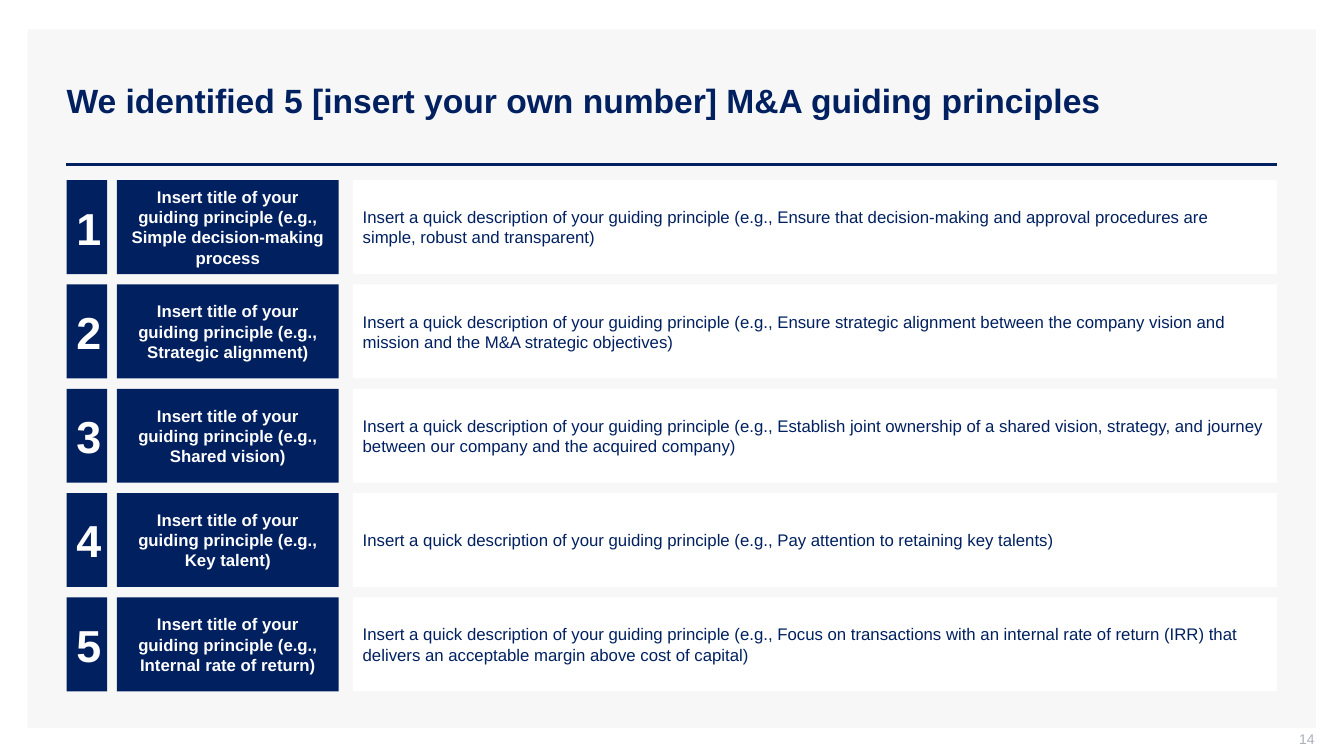
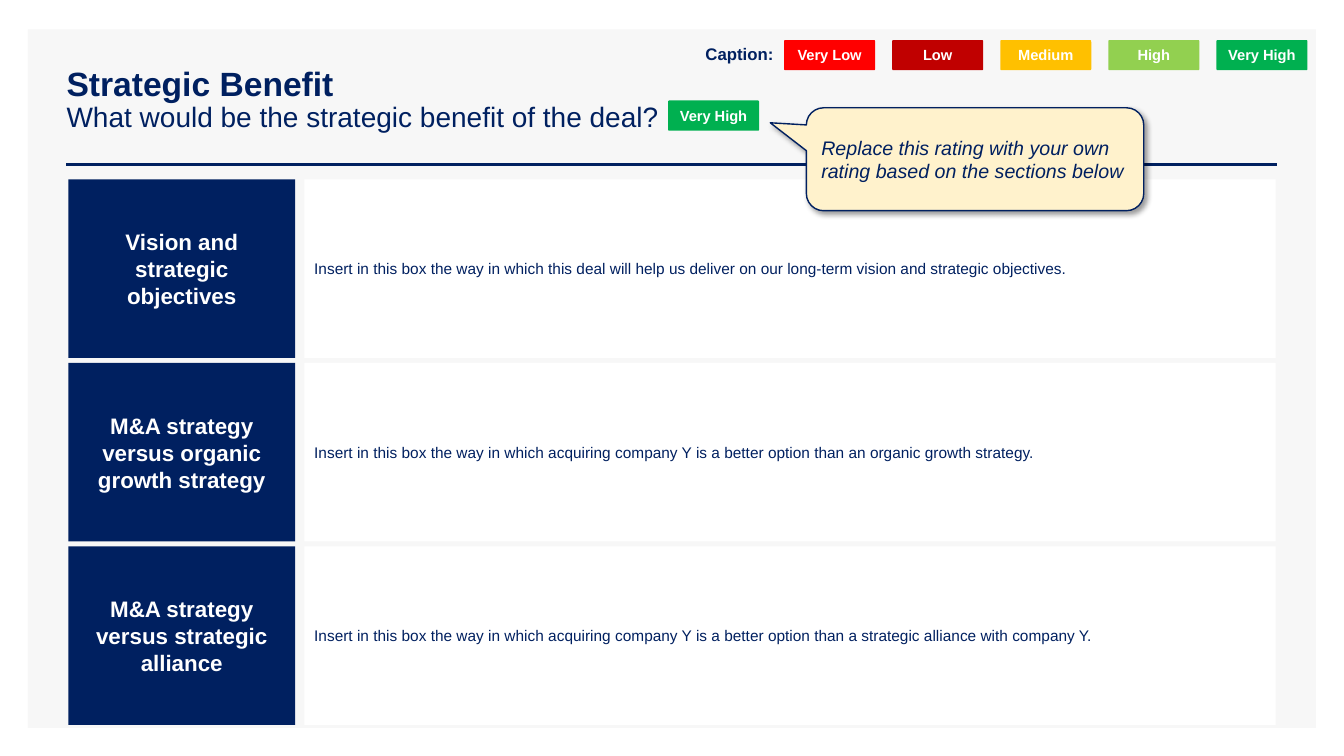
from lxml.etree import SubElement
from pptx import Presentation
from pptx.dml.color import RGBColor
from pptx.enum.shapes import MSO_CONNECTOR, MSO_SHAPE
from pptx.enum.text import MSO_ANCHOR, MSO_AUTO_SIZE, PP_ALIGN
from pptx.oxml.ns import qn
from pptx.util import Pt

NAVY, WHITE, GREY, PALE, CREAM = "002060", "FFFFFF", "ADAFBB", "F7F7F7", "FFF2CC"
FONT = "Arial"
LEFT, MID, RIGHT = PP_ALIGN.LEFT, PP_ALIGN.CENTER, PP_ALIGN.RIGHT
GREEN = "00B050"
SCALE = {"Very Low": "FF0000", "Low": "C00000", "Medium": "FFC000",
         "High": "92D050", "Very High": GREEN}
RULES = [
    ("Simple decision-making process",
     "Ensure that decision-making and approval procedures are simple, robust and transparent)"),
    ("Strategic alignment)",
     "Ensure strategic alignment between the company vision and mission "
     "and the M&A strategic objectives)"),
    ("Shared vision)",
     "Establish joint ownership of a shared vision, strategy, and journey "
     "between our company and the acquired company)"),
    ("Key talent)", "Pay attention to retaining key talents)"),
    ("Internal rate of return)",
     "Focus on transactions with an internal rate of return (IRR) that delivers "
     "an acceptable margin above cost of capital)"),
]
GAINS = [
    ("Vision and strategic objectives",
     "this deal will help us deliver on our long-term vision and strategic objectives."),
    ("M&A strategy versus organic growth strategy",
     "acquiring company Y is a better option than an organic growth strategy."),
    ("M&A strategy versus strategic alliance",
     "acquiring company Y is a better option than a strategic alliance with company Y."),
]


def tint(code):
    """Turn a hex string into a colour."""
    return RGBColor.from_string(code)


def style(part, size, color=NAVY, bold=False, italic=False):
    """Set the font of a paragraph or run."""
    font = part.font
    font.name, font.size = FONT, Pt(size)
    font.bold, font.italic = bold, italic
    font.color.rgb = tint(color)


def write(shape, text, size, color=NAVY, align=LEFT, bold=False, italic=False):
    """Put one formatted paragraph into a shape."""
    frame = shape.text_frame
    frame.word_wrap = True
    para = frame.paragraphs[0]
    para.text, para.alignment = text, align
    style(para, size, color, bold, italic)


def block(slide, box, fill, kind=MSO_SHAPE.RECTANGLE, adjust=()):
    """Draw a flat filled shape without outline."""
    shape = slide.shapes.add_shape(kind, *map(Pt, box))
    shape.shadow.inherit = False
    shape.fill.solid()
    shape.fill.fore_color.rgb = tint(fill)
    shape.line.fill.background()
    for index, value in enumerate(adjust):
        shape.adjustments[index] = value
    return shape


def label(slide, box, text, size, align=LEFT, bold=False):
    """Place a plain text box."""
    area = slide.shapes.add_textbox(*map(Pt, box))
    write(area, text, size, NAVY, align, bold)
    return area


def frame(slide, layout, box):
    """Give the layout its panel, rule and title place."""
    x, y, w, h = box
    panel = block(slide, box, PALE)
    rule = slide.shapes.add_connector(
        MSO_CONNECTOR.STRAIGHT, Pt(x + 27.5), Pt(y + 96.4), Pt(x + 892), Pt(y + 96.4))
    rule.line.color.rgb = tint(NAVY)
    rule.line.width = Pt(2)
    SubElement(rule._element.spPr, qn("a:effectLst"))
    for part in (rule, panel):
        layout.shapes._spTree.insert(2, part._element)
    title = layout.placeholders[0]
    title.left, title.top = Pt(x + 20.3), Pt(y + 7.8)
    title.width, title.height = Pt(872), Pt(85.7)
    title.text_frame.auto_size = MSO_AUTO_SIZE.NONE
    title.text_frame.vertical_anchor = MSO_ANCHOR.MIDDLE


def head(slide, text, sub=None):
    """Fill the title, with an optional lighter second line."""
    title = slide.shapes.title
    write(title, text, 24, bold=True)
    if sub:
        para = title.text_frame.paragraphs[0]
        para.line_spacing = 0.9
        para.add_line_break()
        run = para.add_run()
        run.text = sub
        style(run, 20)


def page(slide, box, number):
    """Place the page number."""
    area = label(slide, box, number, 10, RIGHT)
    text = area.text_frame
    text.margin_top = text.margin_right = 0
    text.margin_bottom = Pt(3.6)
    text.vertical_anchor = MSO_ANCHOR.MIDDLE
    style(text.paragraphs[0], 10, GREY)


def rules(slide, box):
    """Stack the numbered guiding principles."""
    x, y, w, h = box
    step, tall = (h + 7.4) / len(RULES), 67.1
    for index, (name, note) in enumerate(RULES):
        top = y + index * step
        digit = block(slide, (x, top, 29, tall), NAVY)
        write(digit, str(index + 1), 32, WHITE, MID, True)
        tag = block(slide, (x + 36, top, 158.5, tall), NAVY)
        write(tag, f"Insert title of your guiding principle (e.g., {name}", 12, WHITE, MID, True)
        body = block(slide, (x + 204.5, top, w - 204.5, tall), WHITE)
        write(body, f"Insert a quick description of your guiding principle (e.g., {note}", 12)


def gains(slide, box):
    """Stack the benefit sections."""
    x, y, w, h = box
    gap, wide = 3.6, 162
    tall = (h + gap) / len(GAINS) - gap
    for index, (name, note) in enumerate(GAINS):
        top = y + index * (tall + gap)
        tag = block(slide, (x, top, wide, tall), NAVY, MSO_SHAPE.PENTAGON, [0])
        write(tag, name, 16, WHITE, MID, True)
        body = block(slide, (x + 168.6, top, w - 168.6, tall), WHITE, MSO_SHAPE.PENTAGON, [0])
        write(body, f"Insert in this box the way in which {note}", 11)


def chip(slide, x, y, name):
    """Draw one rating chip."""
    shape = block(slide, (x, y, 65, 21.6), SCALE[name], MSO_SHAPE.ROUNDED_RECTANGLE, [0.04])
    write(shape, name, 10.5, WHITE, MID, True)


def legend(slide, box):
    """Draw the caption and the row of ratings."""
    x, y, w, h = box
    label(slide, (x, y - 0.6, 68.4, h), "Caption:", 12, bold=True)
    for index, name in enumerate(SCALE):
        chip(slide, x + 63.3 + index * 77.2, y, name)


def bubble(slide, box, text):
    """Draw the shaded callout."""
    shape = block(slide, box, CREAM, MSO_SHAPE.ROUNDED_RECTANGULAR_CALLOUT,
                  [-0.607, -0.354, 0.167])
    shape.line.color.rgb = tint(NAVY)
    shape.line.width = Pt(1)
    effects = shape._element.spPr.find(qn("a:effectLst"))
    shade = SubElement(effects, qn("a:outerShdw"), blurRad=str(Pt(4)), dist=str(Pt(3)),
                       dir="2700000", algn="tl", rotWithShape="0")
    color = SubElement(shade, qn("a:srgbClr"), val="000000")
    SubElement(color, qn("a:alpha"), val="40000")
    write(shape, text, 14, italic=True)


def main():
    """Build and save both slides."""
    deck = Presentation()
    deck.slide_width, deck.slide_height = Pt(960), Pt(540)
    layout = deck.slide_layouts[5]
    first = deck.slides.add_slide(layout)
    frame(first, layout, (20, 21, 920, 499))
    head(first, "We identified 5 [insert your own number] M&A guiding principles")
    page(first, (723, 522, 216, 15), "14")
    rules(first, (47.5, 128.7, 864.7, 365.1))

    second = deck.slides.add_slide(layout)
    head(second, "Strategic Benefit", "What would be the strategic benefit of the deal?")
    gains(second, (48.8, 128.2, 862.4, 389.6))
    legend(second, (496.8, 28.6, 437, 21.6))
    chip(second, 477.2, 71.8, "Very High")
    bubble(second, (576, 77, 241, 73.5),
           "Replace this rating with your own rating based on the sections below")
    deck.save("out.pptx")


if __name__ == "__main__":
    main()
